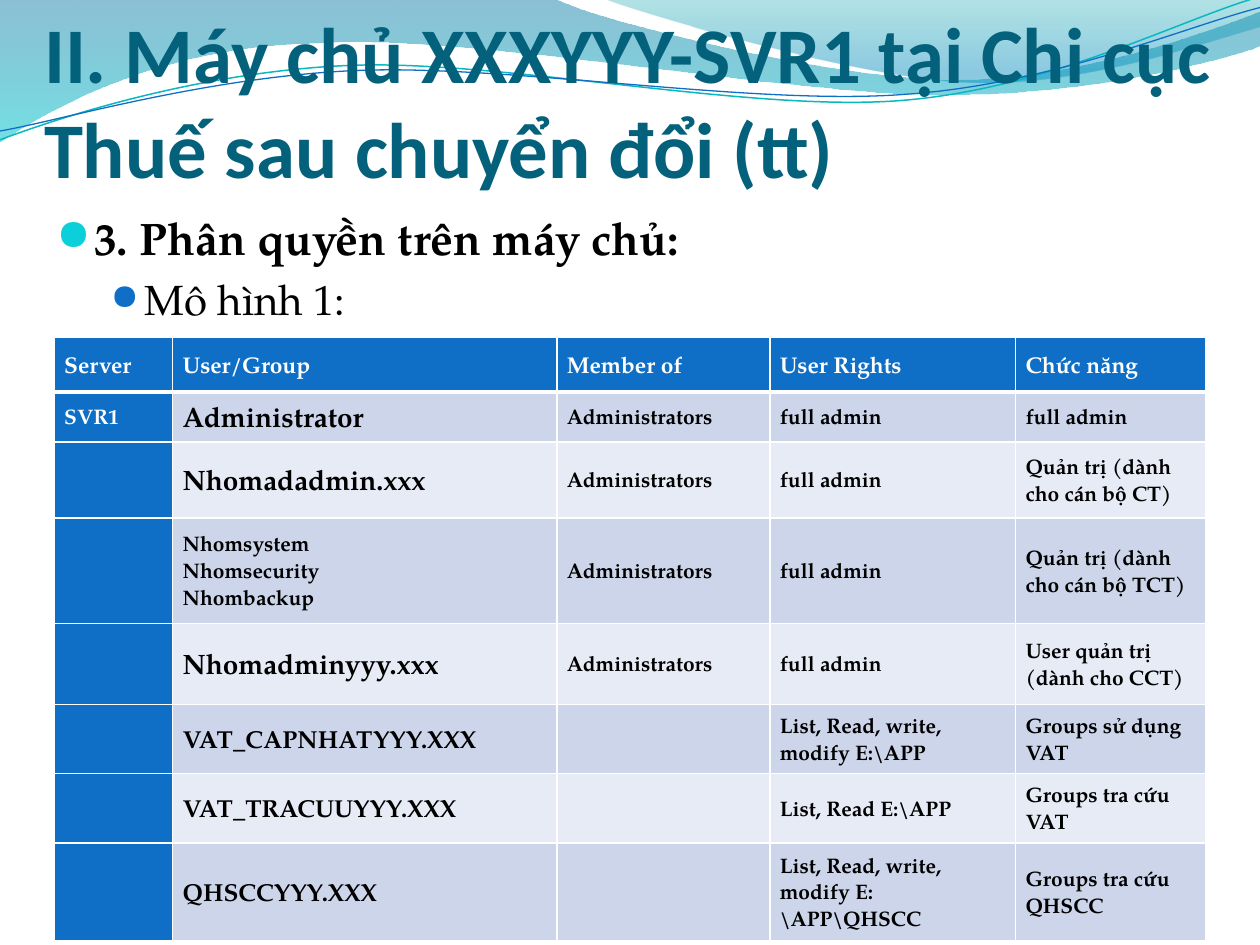
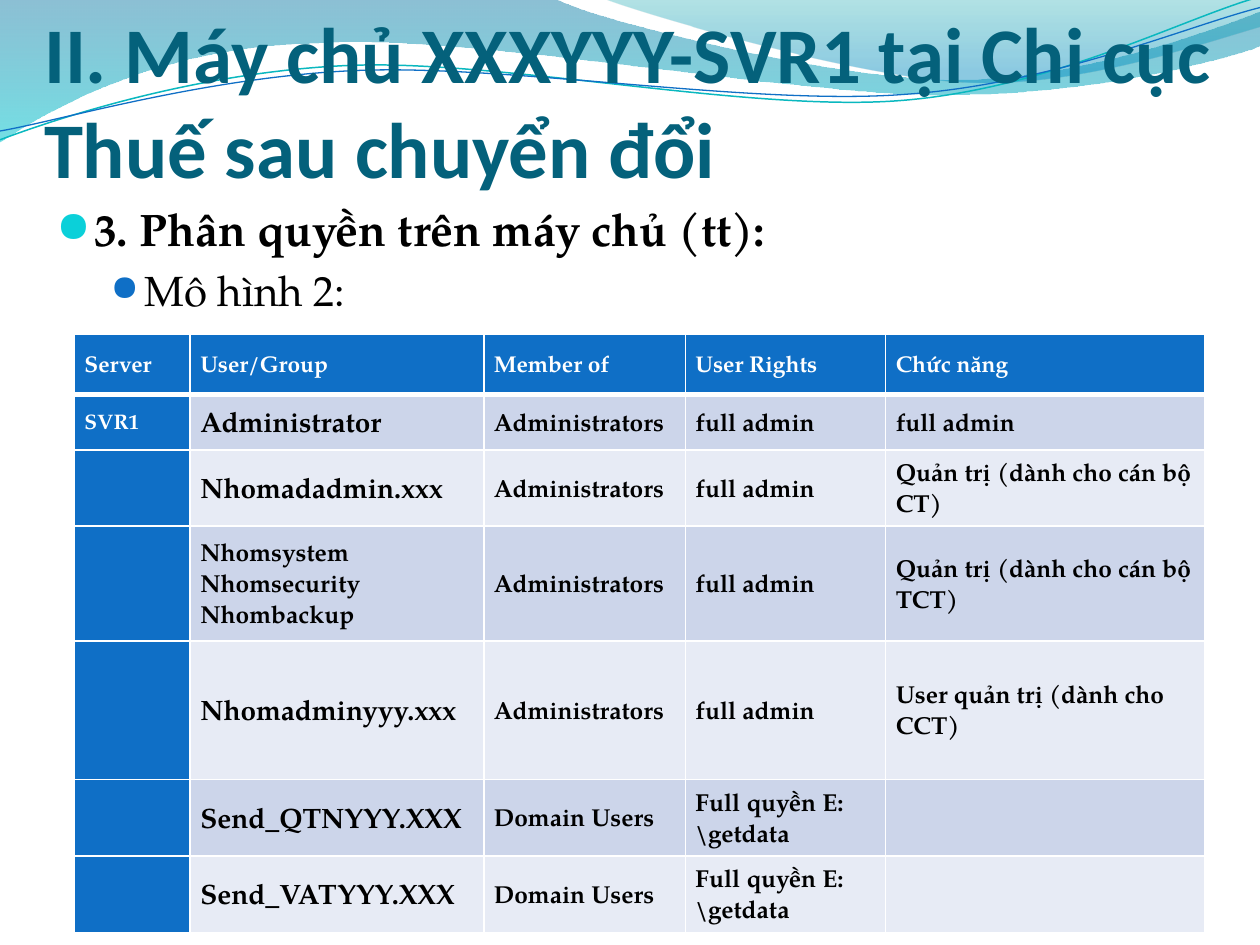
from lxml.etree import SubElement
from pptx import Presentation
from pptx.dml.color import RGBColor
from pptx.enum.text import MSO_ANCHOR, PP_ALIGN
from pptx.oxml import parse_xml
from pptx.oxml.ns import nsdecls, qn
from pptx.util import Inches, Pt

TITLE_FONT = "Calibri"
BODY_FONT = "TeX Gyre Pagella"
BULLET_FONT = "OpenSymbol"
WHITE, BLACK = "FFFFFF", "000000"
BLUE, TEAL, CYAN, DARK_TEAL = "0F6FC6", "0AB8BF", "0BD0D9", "04617B"
BAND_COLORS = ("CCD5EA", "E7EBF5")

WAVE_FILLS = [
    ([(0, 0), [(4.4, -0.01)],
      [(4.76, 0.17), (6.64, 0.63), (7.58, 0.63)],
      [(8.53, 0.63), (9.58, 0.26), (10, 0.09)], [(10.01, 0.36)],
      [(9.83, 0.44), (8.7, 0.76), (7.46, 0.75)],
      [(6.22, 0.75), (3.82, 0.28), (2.57, 0.34)],
      [(1.29, 0.36), (0.46, 0.83), (-0.01, 1.13)], [(0, 0)]],
     [(0, "0074A1", 45), (1, "00C6CF", 55)]),
    ([(4.79, -0.01),
      [(5.09, 0.11), (6.82, 0.62), (7.69, 0.65)],
      [(8.56, 0.69), (9.61, 0.32), (10, 0.21)], [(10, 0)], [(4.79, -0.01)]],
     [(0, "00A1A9", 30), (0.8, "008BBF", 45)]),
]
WAVE_LINES = [
    ([(0, 1.11),
      [(0.48, 0.93), (1.58, 0.57), (2.77, 0.52)],
      [(3.95, 0.47), (5.93, 0.89), (7.13, 0.8)],
      [(8.33, 0.71), (9.38, 0.15), (9.98, -0.02)]], TEAL, 0.85),
    ([(0, 1.04),
      [(0.47, 0.96), (1.64, 0.61), (2.83, 0.56)],
      [(4.03, 0.51), (5.97, 0.84), (7.17, 0.75)],
      [(8.36, 0.67), (9.41, 0.21), (10, 0.06)]], BLUE, 0.75),
]

HEADER = ("Server", "User/Group", "Member of", "User Rights", "Chức năng")
SYSTEM_GROUPS = "Nhomsystem\nNhomsecurity\nNhombackup"
ADMIN_RIGHTS = ("Administrators", "full admin")
CT_ROLE = "Quản trị (dành cho cán bộ CT)"
TCT_ROLE = "Quản trị (dành cho cán bộ TCT)"
CCT_ROLE = "User quản trị (dành cho CCT)"


def admin_rows(body_size):
    """Return the administrator rows, each led by the size of its group name."""
    return [
        (16, "SVR1", "Administrator", *ADMIN_RIGHTS, "full admin"),
        (16, "", "Nhomadadmin.xxx", *ADMIN_RIGHTS, CT_ROLE),
        (body_size, "", SYSTEM_GROUPS, *ADMIN_RIGHTS, TCT_ROLE),
        (16, "", "Nhomadminyyy.xxx", *ADMIN_RIGHTS, CCT_ROLE),
    ]


MODEL_1_ROWS = admin_rows(12) + [
    (14, "", "VAT_CAPNHATYYY.XXX", "", r"List, Read, write, modify E:\APP", "Groups sử dụng VAT"),
    (14, "", "VAT_TRACUUYYY.XXX", "", r"List, Read E:\APP", "Groups tra cứu VAT"),
    (14, "", "QHSCCYYY.XXX", "", r"List, Read, write, modify E:\APP\QHSCC", "Groups tra cứu QHSCC"),
]
MODEL_2_ROWS = admin_rows(14) + [
    (16, "", f"Send_{name}YYY.XXX", "Domain Users", r"Full quyền E:\getdata", "")
    for name in ("QTN", "VAT")
]


def color(hex_string):
    """Turn a hex string into a colour."""
    return RGBColor.from_string(hex_string)


def format_runs(paragraph, font_name, size, hex_string, bold):
    """Give every run of a paragraph the same font."""
    for run in paragraph.runs:
        run.font.name = font_name
        run.font.size = Pt(size)
        run.font.bold = bold
        run.font.color.rgb = color(hex_string)


def add_wave(slide, outline, closed):
    """Draw an outline of straight and cubic segments given in inches."""
    start, *segments = outline
    points = [(Inches(x), Inches(y)) for segment in segments for x, y in segment]
    builder = slide.shapes.build_freeform(Inches(start[0]), Inches(start[1]))
    builder.add_line_segments(points, close=closed)
    shape = builder.convert_to_shape()
    shape.shadow.inherit = False
    lines = iter(list(shape._element.iter(qn("a:lnTo"))))
    for segment in segments:
        first, *others = [next(lines) for _ in segment]
        if others:
            first.tag = qn("a:cubicBezTo")
        for line in others:
            first.append(line[0])
            line.getparent().remove(line)
    return shape


def add_wave_band(slide):
    """Draw the translucent waves and thin lines at the top."""
    for outline, stops in WAVE_FILLS:
        shape = add_wave(slide, outline, True)
        shape.line.fill.background()
        shape.fill.gradient()
        shape.fill.gradient_angle = 270
        for stop, (position, hex_string, _) in zip(shape.fill.gradient_stops, stops):
            stop.position = position
            stop.color.rgb = color(hex_string)
        for element, (_, _, opacity) in zip(shape._element.iter(qn("a:srgbClr")), stops):
            SubElement(element, qn("a:alpha"), val=str(opacity * 1000))
    for outline, hex_string, width in WAVE_LINES:
        shape = add_wave(slide, outline, False)
        shape.fill.background()
        shape.line.color.rgb = color(hex_string)
        shape.line.width = Pt(width)


def add_text_box(slide, box):
    """Add a wrapping text box and return its text frame."""
    text_frame = slide.shapes.add_textbox(*map(Inches, box)).text_frame
    text_frame.word_wrap = True
    return text_frame


def add_title(slide, text, box=(0.35, 0.36, 9.53, 1.18)):
    """Add the slide title, resting on the bottom of its box."""
    text_frame = add_text_box(slide, box)
    text_frame.vertical_anchor = MSO_ANCHOR.BOTTOM
    text_frame.margin_left = text_frame.margin_right = text_frame.margin_bottom = 0
    text_frame.text = text
    format_runs(text_frame.paragraphs[0], TITLE_FONT, 45, DARK_TEAL, True)


def add_bullets(slide, heading, model, box):
    """Add the bold heading and the model name below it."""
    text_frame = add_text_box(slide, box)
    levels = [(heading, 26, True, 0.3, -0.3, CYAN, 95),
              (model, 24, False, 0.7, -0.27, BLUE, 85)]
    for level, (text, size, bold, margin, indent, bullet_color, bullet_size) in enumerate(levels):
        paragraph = text_frame.add_paragraph() if level else text_frame.paragraphs[0]
        paragraph.text = text
        paragraph.level = level
        paragraph.space_before = Pt(size * 0.2)
        format_runs(paragraph, BODY_FONT, size, BLACK, bold)
        properties = paragraph._p.get_or_add_pPr()
        properties.set("marL", str(Inches(margin)))
        properties.set("indent", str(Inches(indent)))
        SubElement(SubElement(properties, qn("a:buClr")), qn("a:srgbClr"), val=bullet_color)
        SubElement(properties, qn("a:buSzPct"), val=str(bullet_size * 1000))
        SubElement(properties, qn("a:buFont"), typeface=BULLET_FONT)
        SubElement(properties, qn("a:buChar"), char="●")


def add_cell_borders(cell, is_header):
    """Draw white borders, thicker under the header."""
    widths = {"lnL": 1, "lnR": 1, "lnT": 1, "lnB": 3} if is_header else {"lnL": 1, "lnR": 1, "lnB": 1}
    properties = cell._tc.get_or_add_tcPr()
    for index, (side, width) in enumerate(widths.items()):
        properties.insert(index, parse_xml(
            f'<a:{side} {nsdecls("a")} w="{Pt(width)}"><a:solidFill>'
            f'<a:srgbClr val="{WHITE}"/></a:solidFill></a:{side}>'))


def fill_cell(cell, text, size, fill, font_color, is_header, exact_spacing):
    """Write and format one table cell."""
    cell.fill.solid()
    cell.fill.fore_color.rgb = color(fill)
    add_cell_borders(cell, is_header)
    cell.vertical_anchor = MSO_ANCHOR.MIDDLE
    cell.margin_left = cell.margin_right = Inches(0.08)
    cell.margin_top = cell.margin_bottom = 0
    if not text:
        return
    paragraph = cell.text_frame.paragraphs[0]
    paragraph.text = text
    if exact_spacing:
        paragraph.alignment = PP_ALIGN.JUSTIFY
        paragraph.line_spacing = Pt(18)
    else:
        paragraph.line_spacing = 1.3
        paragraph.space_before = paragraph.space_after = Pt(0)
    format_runs(paragraph, BODY_FONT, size, font_color, True)


def add_rights_table(slide, box, widths, heights, rows, body_size, exact_cells=()):
    """Add the table of user rights on the server."""
    frame = slide.shapes.add_table(len(heights), len(widths), *map(Inches, box))
    table = frame.table
    table.horz_banding = False
    for column, width in zip(table.columns, widths):
        column.width = Inches(width)
    for row, height in zip(table.rows, heights):
        row.height = Inches(height)
    for row_index, (name_size, *texts) in enumerate([(13, *HEADER), *rows]):
        is_header = row_index == 0
        sizes = [13] * 5 if is_header else [12, name_size] + [body_size] * 3
        for column_index, (text, size) in enumerate(zip(texts, sizes)):
            on_blue = is_header or column_index == 0
            fill_cell(table.cell(row_index, column_index), text, size,
                      BLUE if on_blue else BAND_COLORS[(row_index - 1) % 2],
                      WHITE if on_blue else BLACK, is_header,
                      (row_index, column_index) in exact_cells)


def add_rights_slide(presentation, title, heading, model, bullet_box, **table):
    """Add a slide with waves, title, bullets and a rights table."""
    slide = presentation.slides.add_slide(presentation.slide_layouts[6])
    add_wave_band(slide)
    add_title(slide, title)
    add_bullets(slide, heading, model, bullet_box)
    add_rights_table(slide, **table)


def main():
    """Build and save the presentation."""
    presentation = Presentation()
    presentation.slide_width, presentation.slide_height = Inches(10), Inches(7.5)
    title = "II. Máy chủ XXXYYY-SVR1 tại Chi cục Thuế sau chuyển đổi"
    add_rights_slide(
        presentation, f"{title} (tt)", "3. Phân quyền trên máy chủ:", "Mô hình 1:",
        (0.35, 1.62, 9.53, 5.29), box=(0.43, 2.68, 9.13, 4.61),
        widths=(0.94, 3.05, 1.69, 1.95, 1.51),
        heights=(0.43, 0.4, 0.6, 0.84, 0.64, 0.55, 0.55, 0.6),
        rows=MODEL_1_ROWS, body_size=12)
    add_rights_slide(
        presentation, title, "3. Phân quyền trên máy chủ (tt):", "Mô hình 2:",
        (0.35, 1.55, 9.53, 5.37), box=(0.59, 2.65, 8.98, 4.75),
        widths=(0.92, 2.33, 1.6, 1.59, 2.53),
        heights=(0.48, 0.44, 0.44, 0.91, 1.1, 0.6, 0.6),
        rows=MODEL_2_ROWS, body_size=14, exact_cells={(1, 3), (1, 4)})
    presentation.save("out.pptx")


if __name__ == "__main__":
    main()
